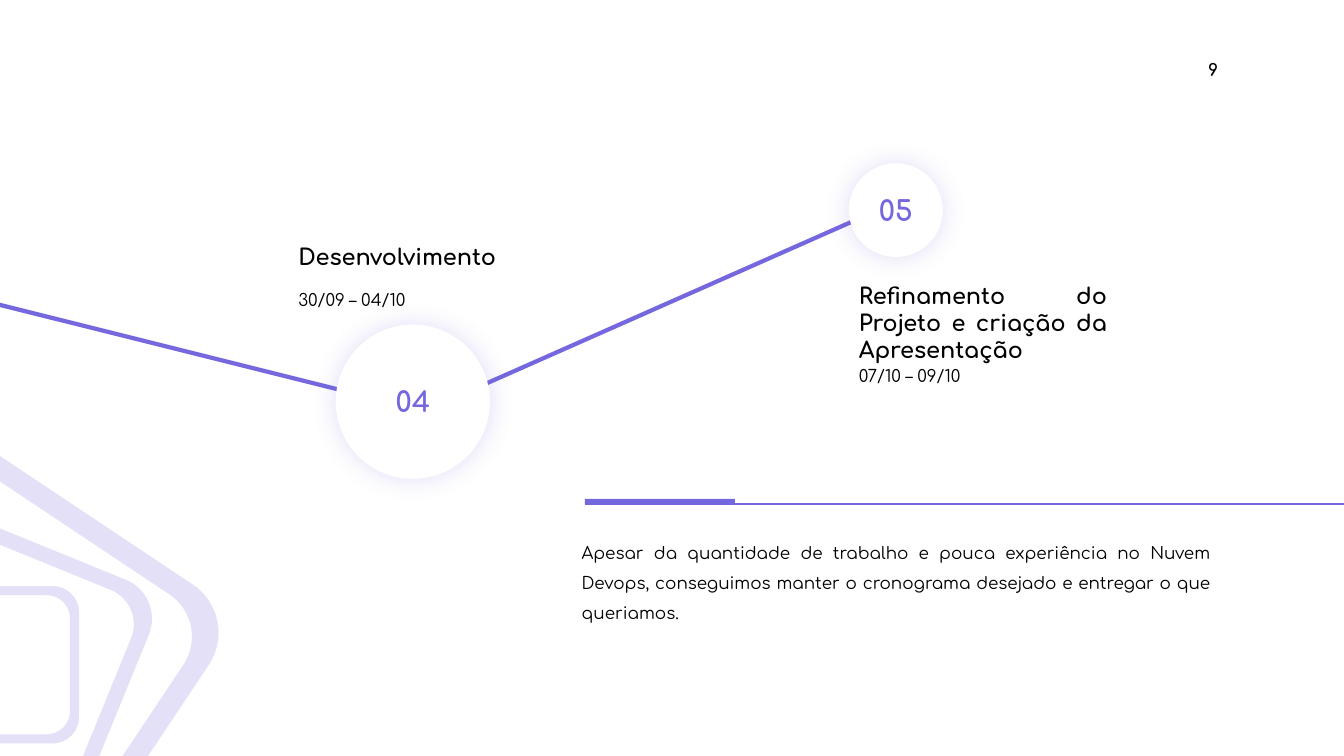
import math
from lxml import etree
from pptx import Presentation
from pptx import util as u
from pptx.dml.color import RGBColor
from pptx.enum import shapes, text
from pptx.oxml import ns

PURPLE = "7568DE"
WHITE = "FFFFFF"
BLACK = "000000"
FONT = "Comfortaa"


def color(value):
    return RGBColor.from_string(value)


def add_child(parent, tag, **attributes):
    return etree.SubElement(parent, ns.qn(tag), attributes)


def add_text(page, area, words, size, align, bold=False, fill=BLACK,
             anchor=text.MSO_ANCHOR.MIDDLE, spacing=1.0):
    box = page.shapes.add_textbox(*map(u.Inches, area))
    frame = box.text_frame
    frame.word_wrap = True
    frame.vertical_anchor = anchor
    if anchor == text.MSO_ANCHOR.MIDDLE:
        frame.auto_size = text.MSO_AUTO_SIZE.SHAPE_TO_FIT_TEXT
    para = frame.paragraphs[0]
    para.text = words
    para.alignment = align
    para.line_spacing = spacing
    para.font.name = FONT
    para.font.size = u.Pt(size)
    para.font.bold = bold
    para.font.color.rgb = color(fill)


def add_line(page, start, end, width):
    line = page.shapes.add_connector(
        shapes.MSO_CONNECTOR.STRAIGHT, *map(u.Inches, start + end))
    line.line.color.rgb = color(PURPLE)
    line.line.width = u.Pt(width)
    add_child(line._element.spPr, "a:effectLst")


def paint(shape, fill):
    shape.shadow.inherit = False
    shape.fill.solid()
    shape.fill.fore_color.rgb = color(fill)
    shape.line.fill.background()


def add_solid(page, kind, area, fill):
    shape = page.shapes.add_shape(kind, *map(u.Inches, area))
    paint(shape, fill)
    return shape


def add_milestone(page, left, top, size, number):
    circle = add_solid(page, shapes.MSO_SHAPE.OVAL, (left, top, size, size), WHITE)
    effects = circle._element.spPr.find(ns.qn("a:effectLst"))
    glow = add_child(effects, "a:outerShdw", blurRad=str(u.Pt(18)), dist="0",
                     dir="0", algn="ctr", rotWithShape="0")
    tint = add_child(glow, "a:srgbClr", val=PURPLE)
    add_child(tint, "a:alpha", val="21000")
    add_text(page, (left + 0.12, top + size / 2 - 0.22, size - 0.24, 0.44),
             number, 20, text.PP_ALIGN.CENTER, bold=True, fill=PURPLE)


def add_stage(page, name_area, name, dates_area, dates):
    add_text(page, dates_area, dates, 12, text.PP_ALIGN.JUSTIFY,
             anchor=text.MSO_ANCHOR.TOP, spacing=1.5)
    add_text(page, name_area, name, 16, text.PP_ALIGN.JUSTIFY, bold=True)


def add_point(parent, x, y):
    add_child(parent, "a:pt", x=str(u.Inches(x)), y=str(u.Inches(y)))


def add_rounded_square(outline, center, half, degrees):
    flat = half * 2 / 3
    bend = flat + half / 3 * 0.55
    turn = math.radians(degrees)

    def place(parent, x, y, quarter):
        angle = turn + math.radians(90 * quarter)
        add_point(parent, center + x * math.cos(angle) - y * math.sin(angle),
                  center + x * math.sin(angle) + y * math.cos(angle))

    place(add_child(outline, "a:moveTo"), -flat, -half, 0)
    for quarter in range(4):
        place(add_child(outline, "a:lnTo"), flat, -half, quarter)
        corner = add_child(outline, "a:cubicBezTo")
        for x, y in ((bend, -half), (half, -bend), (half, -flat)):
            place(corner, x, y, quarter)
    add_child(outline, "a:close")


def add_rings(page, left, top, size):
    builder = page.shapes.build_freeform(u.Inches(left), u.Inches(top))
    builder.add_line_segments([(u.Inches(left + size), u.Inches(top + size))])
    rings = builder.convert_to_shape()
    outline = rings._element.spPr.find(".//" + ns.qn("a:path"))
    for segment in list(outline):
        outline.remove(segment)
    for inner, outer, degrees in ((0.69, 0.78, 0), (1.1, 1.25, 22.2), (1.51, 1.72, 33.7)):
        add_rounded_square(outline, size / 2, inner, degrees)
        add_rounded_square(outline, size / 2, outer, degrees)
    paint(rings, PURPLE)
    tint = rings._element.spPr.find(ns.qn("a:solidFill"))[0]
    add_child(tint, "a:alpha", val="20000")


def add_timeline(page):
    add_line(page, (8.72, 2.08), (4.45, 3.97), 3)
    add_line(page, (3.78, 3.97), (-3.78, 2.08), 3)
    add_milestone(page, 8.42, 1.62, 0.93, "05")
    add_milestone(page, 3.33, 3.22, 1.53, "04")
    add_stage(page, (2.86, 2.36, 2.81, 0.37), "Desenvolvimento",
              (2.86, 2.72, 2.81, 0.98), "30/09 – 04/10")
    add_stage(page, (8.42, 2.88, 2.66, 0.64),
              "Refinamento do Projeto e criação da Apresentação",
              (8.42, 3.48, 2.81, 0.68), "07/10 – 09/10")


def add_conclusion(page, left, top):
    add_text(page, (left - 0.13, top + 0.39, 6.44, 0.68),
             "Apesar da quantidade de trabalho e pouca experiência no Nuvem "
             "Devops, conseguimos manter o cronograma desejado e entregar o que "
             "queriamos.", 12, text.PP_ALIGN.JUSTIFY, spacing=1.5)
    add_line(page, (left, top), (13.33, top), 1)
    add_solid(page, shapes.MSO_SHAPE.RECTANGLE, (left, top - 0.05, 1.49, 0.05), PURPLE)


def main():
    deck = Presentation()
    deck.slide_width = u.Inches(13.33)
    deck.slide_height = u.Inches(7.5)
    page = deck.slides.add_slide(deck.slide_layouts[6])
    add_text(page, (11.46, 0.54, 0.72, 0.3), "9", 12, text.PP_ALIGN.RIGHT, bold=True)
    add_timeline(page)
    add_rings(page, -2.16, 4.43, 4.33)
    add_conclusion(page, 5.8, 5)
    deck.save("out.pptx")


if __name__ == "__main__":
    main()
